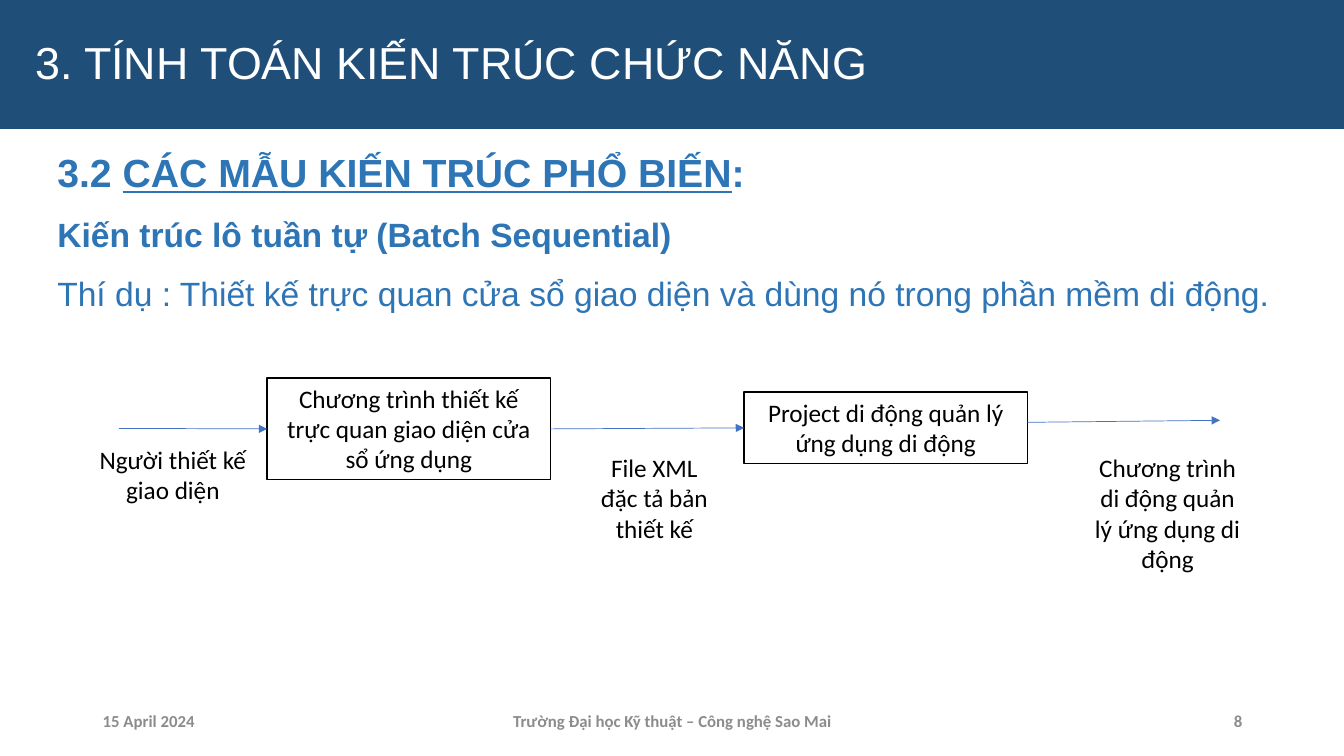
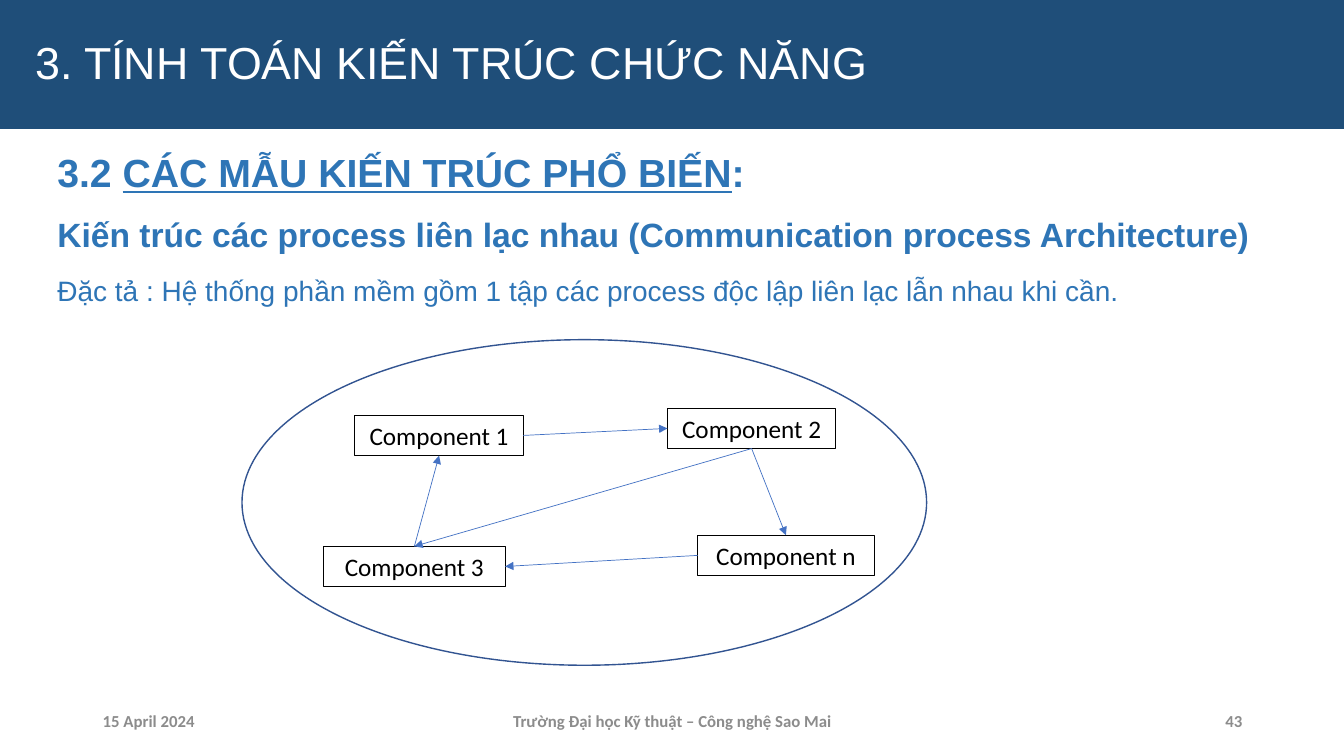
import lxml.etree
import pptx
import pptx.dml.color
import pptx.enum.shapes
import pptx.enum.text
import pptx.oxml.ns
import pptx.util

PX = 9144
WIDTH, HEIGHT = 1333, 750

NAVY = "1F4E79"
BLUE = "2E75B6"
ARROW_BLUE = "4472C4"
OVAL_BLUE = "325491"
GRAY = "8C8C8C"
BLACK = "000000"
WHITE = "FFFFFF"

HEADING_FONT = "Arial"
LABEL_FONT = "Calibri"

TITLE = "3. TÍNH TOÁN KIẾN TRÚC CHỨC NĂNG"
SECTION = ("3.2 ", "CÁC MẪU KIẾN TRÚC PHỔ BIẾN", ":")
DATE = "15 April 2024"
SCHOOL = "Trường Đại học Kỹ thuật – Công nghệ Sao Mai"

ALIGN = pptx.enum.text.PP_ALIGN
ANCHOR = pptx.enum.text.MSO_ANCHOR
SHAPE = pptx.enum.shapes.MSO_SHAPE
TOP, LEFT, BOTTOM, RIGHT = range(4)


def px(*lengths):
    return [length * PX for length in lengths]


def rgb(color):
    return pptx.dml.color.RGBColor.from_string(color)


def style_runs(paragraph, font, size, color, bold=False):
    for run in paragraph.runs:
        run.font.name = font
        run.font.size = pptx.util.Pt(size)
        run.font.color.rgb = rgb(color)
        run.font.bold = bold


def add_figure(slide, kind, box, fill, line=None, line_width=1):
    figure = slide.shapes.add_shape(kind, *px(*box))
    figure.shadow.inherit = False
    figure.fill.solid()
    figure.fill.fore_color.rgb = rgb(fill)
    if line:
        figure.line.color.rgb = rgb(line)
        figure.line.width = pptx.util.Pt(line_width)
    else:
        figure.line.fill.background()
    return figure


def add_text_area(slide, box):
    area = slide.shapes.add_textbox(*px(*box))
    area.text_frame.word_wrap = True
    return area


def write_label(holder, text):
    frame = holder.text_frame
    frame.text = text
    frame.word_wrap = True
    frame.vertical_anchor = ANCHOR.TOP
    frame.auto_size = pptx.enum.text.MSO_AUTO_SIZE.SHAPE_TO_FIT_TEXT
    frame.paragraphs[0].alignment = ALIGN.CENTER
    style_runs(frame.paragraphs[0], LABEL_FONT, 18, BLACK)


def add_label(slide, text, box):
    write_label(add_text_area(slide, box), text)


def add_node(slide, text, box, line_width):
    node = add_figure(slide, SHAPE.RECTANGLE, box, WHITE, BLACK, line_width)
    write_label(node, text)
    return node


def add_arrow(slide, start=(0, 0), end=(0, 0), source=None, target=None):
    arrow = slide.shapes.add_connector(
        pptx.enum.shapes.MSO_CONNECTOR.STRAIGHT, *px(*start, *end))
    if source:
        arrow.begin_connect(*source)
    if target:
        arrow.end_connect(*target)
    arrow.line.color.rgb = rgb(ARROW_BLUE)
    arrow.line.width = pptx.util.Pt(0.5)
    qn = pptx.oxml.ns.qn
    head = lxml.etree.SubElement(arrow.line._get_or_add_ln(), qn("a:tailEnd"))
    head.set("type", "triangle")
    lxml.etree.SubElement(arrow._element.spPr, qn("a:effectLst"))


def add_title(slide):
    band = add_figure(slide, SHAPE.RECTANGLE, (0, 0, WIDTH, 128), NAVY)
    frame = band.text_frame
    frame.text = TITLE
    frame.margin_left = 35 * PX
    frame.vertical_anchor = ANCHOR.MIDDLE
    title = frame.paragraphs[0]
    title.alignment = ALIGN.LEFT
    title.line_spacing = 0.9
    style_runs(title, HEADING_FONT, 32, WHITE)


def add_body(slide, pattern, detail, detail_size):
    frame = add_text_area(slide, (47, 148, 1243, 537)).text_frame
    section = frame.paragraphs[0]
    for part in SECTION:
        section.add_run().text = part
    style_runs(section, HEADING_FONT, 28, BLUE, True)
    section.runs[1].font.underline = True
    for text, size, bold in ((pattern, 24, True), (detail, detail_size, False)):
        paragraph = frame.add_paragraph()
        paragraph.text = text
        style_runs(paragraph, HEADING_FONT, size, BLUE, bold)
    for paragraph in frame.paragraphs:
        paragraph.line_spacing = 0.9
        paragraph.space_before = pptx.util.Pt(10)
        paragraph.space_after = pptx.util.Pt(6)


def add_footer(slide, number):
    for text, left, width, alignment in (
            (DATE, 92, 300, ALIGN.LEFT),
            (SCHOOL, 442, 450, ALIGN.CENTER),
            (str(number), 942, 300, ALIGN.RIGHT)):
        frame = add_text_area(slide, (left, 695, width, 40)).text_frame
        frame.text = text
        frame.vertical_anchor = ANCHOR.MIDDLE
        frame.paragraphs[0].alignment = alignment
        style_runs(frame.paragraphs[0], LABEL_FONT, 12, GRAY, True)


def add_page(deck, number, pattern, detail, detail_size):
    slide = deck.slides.add_slide(deck.slide_layouts[6])
    add_title(slide)
    add_body(slide, pattern, detail, detail_size)
    add_footer(slide, number)
    return slide


def build_batch_sequential(deck):
    slide = add_page(
        deck, 8, "Kiến trúc lô tuần tự (Batch Sequential)",
        "Thí dụ : Thiết kế trực quan cửa sổ giao diện và dùng nó "
        "trong phần mềm di động.", 24)
    designer = add_node(
        slide, "Chương trình thiết kế trực quan giao diện cửa sổ ứng dụng",
        (265, 375, 281, 101), 1)
    project = add_node(
        slide, "Project di động quản lý ứng dụng di động",
        (738, 389, 281, 71), 1)
    add_arrow(slide, start=(118, 425), target=(designer, LEFT))
    add_arrow(slide, source=(designer, RIGHT), target=(project, LEFT))
    add_arrow(slide, start=(1019, 419), end=(1210, 417))
    add_label(slide, "Người thiết kế giao diện", (75, 436, 193, 71))
    add_label(slide, "File XML đặc tả bản thiết kế", (578, 444, 142, 101))
    add_label(slide, "Chương trình di động quản lý ứng dụng di động",
              (1074, 444, 168, 131))


def build_communicating_processes(deck):
    slide = add_page(
        deck, 43,
        "Kiến trúc các process liên lạc nhau "
        "(Communication process Architecture)",
        "Đặc tả : Hệ thống phần mềm gồm 1 tập các process độc lập "
        "liên lạc lẫn nhau khi cần.", 20)
    add_figure(slide, SHAPE.OVAL, (240, 337, 679, 323), WHITE, OVAL_BLUE)
    components = {
        key: add_node(slide, f"Component {key}", (left, top, width, 40), 0.75)
        for key, left, top, width in (
            ("1", 352, 412, 167), ("2", 662, 405, 167),
            ("n", 692, 531, 175), ("3", 321, 542, 180))}
    for sender, exit_side, receiver, entry_side in (
            ("1", RIGHT, "2", LEFT),
            ("2", BOTTOM, "n", TOP),
            ("2", BOTTOM, "3", TOP),
            ("n", LEFT, "3", RIGHT),
            ("3", TOP, "1", BOTTOM)):
        add_arrow(slide, source=(components[sender], exit_side),
                  target=(components[receiver], entry_side))


def main():
    deck = pptx.Presentation()
    deck.slide_width, deck.slide_height = px(WIDTH, HEIGHT)
    build_batch_sequential(deck)
    build_communicating_processes(deck)
    deck.save("out.pptx")


if __name__ == "__main__":
    main()
